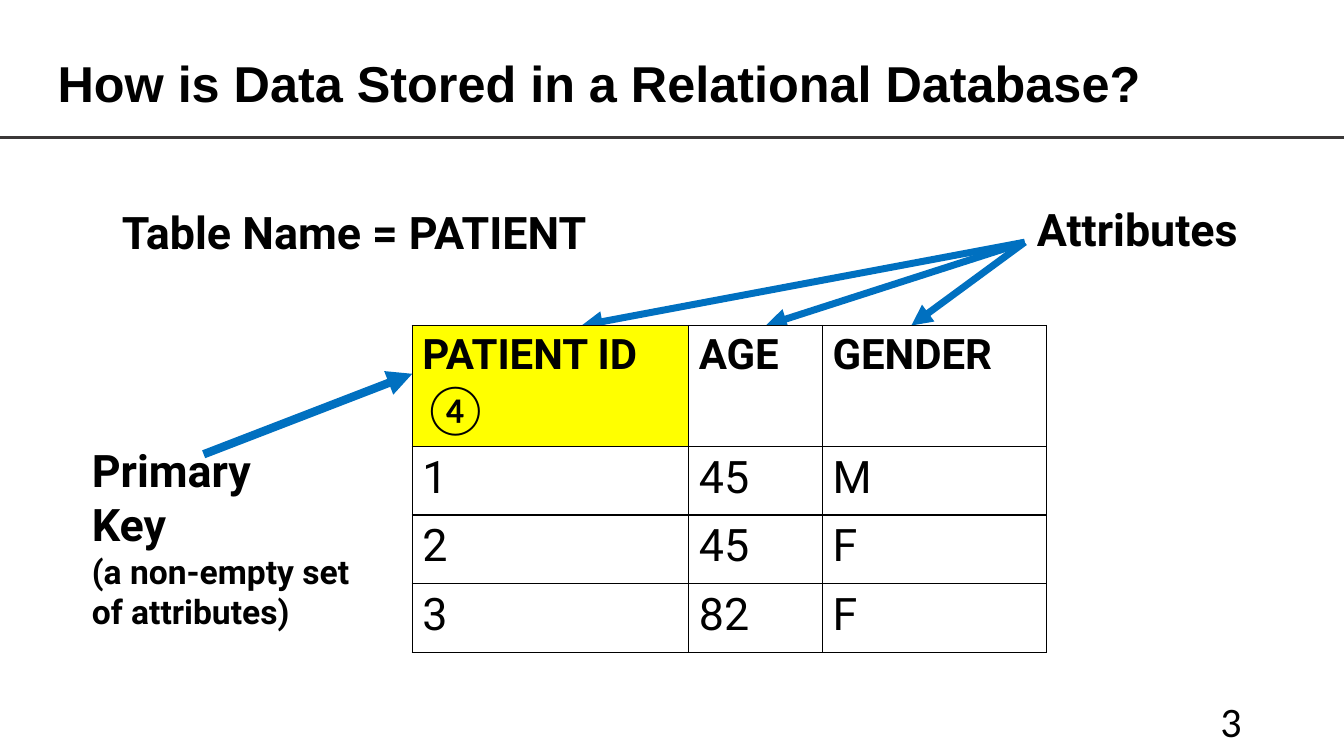
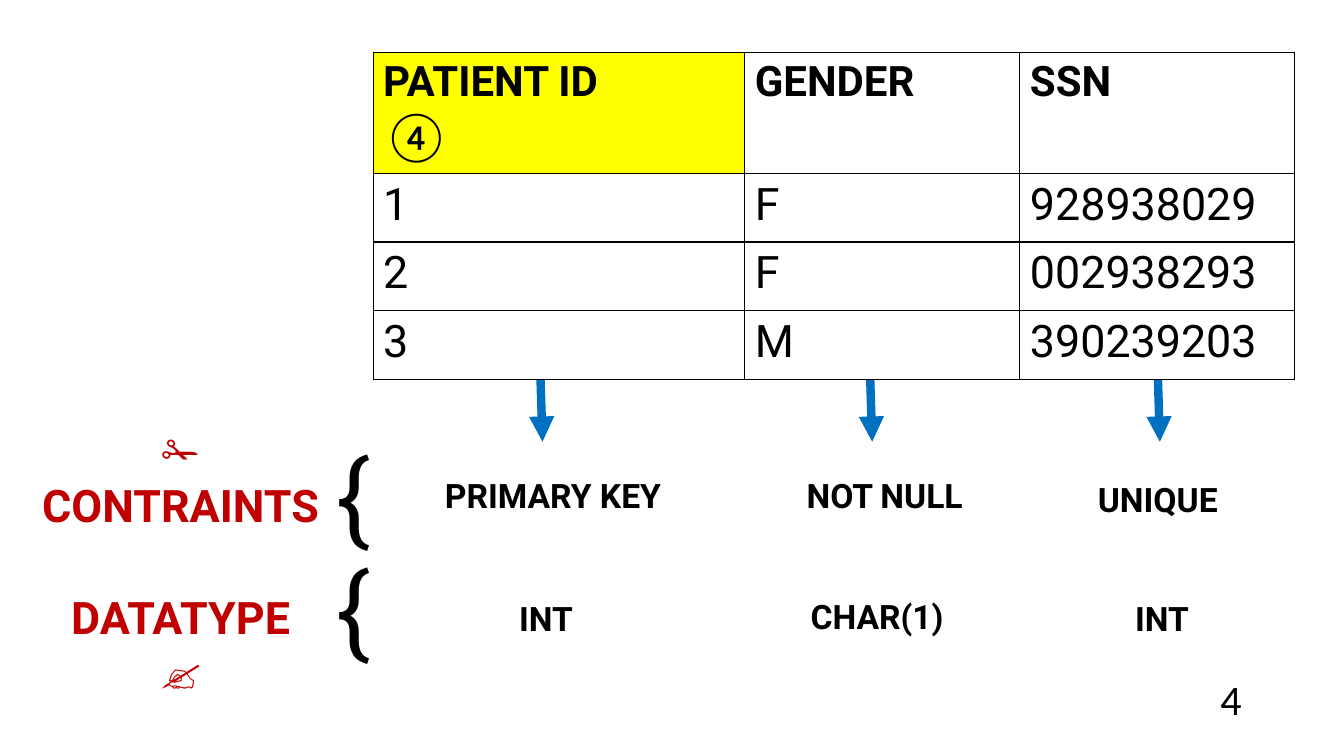
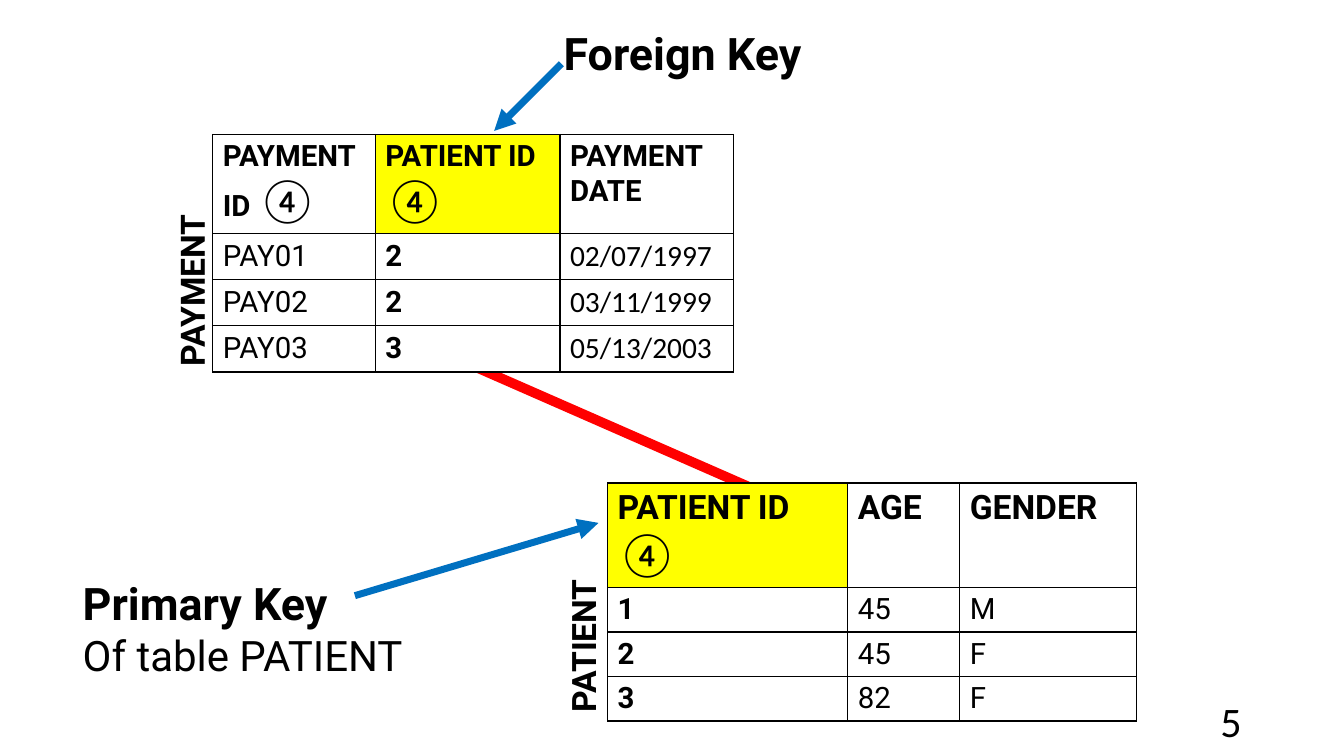
from dataclasses import dataclass

from lxml import etree
from pptx import Presentation
from pptx.dml.color import RGBColor
from pptx.enum.shapes import MSO_CONNECTOR
from pptx.enum.text import MSO_ANCHOR, PP_ALIGN
from pptx.oxml.ns import qn
from pptx.util import Pt

LEFT, CENTER, RIGHT = PP_ALIGN.LEFT, PP_ALIGN.CENTER, PP_ALIGN.RIGHT
TOP, MIDDLE = MSO_ANCHOR.TOP, MSO_ANCHOR.MIDDLE
STRAIGHT = MSO_CONNECTOR.STRAIGHT


@dataclass(frozen=True)
class Theme:
    # Colours
    black: str = "000000"
    white: str = "FFFFFF"
    key_fill: str = "FFFF00"
    arrow: str = "0070C0"
    link: str = "FF0000"
    rule: str = "3B3838"
    label: str = "C00000"
    # Type styles: font, size, bold
    title: tuple = ("Arial", 36, True)
    number: tuple = ("Calibri", 30, False)
    heading: tuple = ("Roboto", 32, True)
    note: tuple = ("Roboto", 24, True)
    remark: tuple = ("Roboto", 30, False)
    brace: tuple = ("Roboto", 72, False)
    icon: tuple = ("Calibri", 32, False)
    big_head: tuple = ("Roboto", 30, True)
    big_cell: tuple = ("Roboto", 32, False)
    big_key: tuple = ("Calibri", 36, False)
    small_cell: tuple = ("Roboto", 21, False)
    small_bold: tuple = ("Roboto", 21, True)
    small_date: tuple = ("Calibri", 21, False)


theme = Theme()


def style_font(font, style, color):
    font.name, size, font.bold = style
    font.size = Pt(size)
    font.color.rgb = RGBColor.from_string(color)


def write(frame, lines, color=theme.black, align=LEFT):
    """Each line is a list of (text, style) spans."""
    for index, spans in enumerate(lines):
        para = frame.paragraphs[0] if index == 0 else frame.add_paragraph()
        para.alignment = align
        style_font(para.font, spans[0][1], color)
        for text, style in spans:
            span = para.add_run()
            span.text = text
            if style != spans[0][1]:
                style_font(span.font, style, color)


# Table headers that carry the key mark
big_id = [[("PATIENT ID", theme.big_head)], [("④", theme.big_key)]]
small_id = [[("PATIENT ID", theme.note)], [("④", theme.icon)]]
payment_id, foreign_id = (
    [[(name + " ", theme.small_bold), ("④", theme.icon)]]
    for name in ("PAYMENT ID", "PATIENT ID"))

# Lines: tail, tip, colour, width, arrowhead
# Tables: left, top, column widths, header height, row height,
#         headers, body styles, rows, highlighted column
# Texts: left, top, width, height, lines, then options
patient_page = {
    "lines": [((732, 173), (x, 232.5), theme.arrow, 5, True)
              for x in (415.5, 547, 651)]
    + [((145.5, 324.5), (294.5, 267), theme.arrow, 6, True),
       ((0, 98.5), (960, 98.5), theme.rule, 2, False)],
    "tables": [
        (294.5, 232.5, (197.5, 95.5, 160), 86, 49,
         [big_id, [[("AGE", theme.big_head)]], [[("GENDER", theme.big_head)]]],
         [theme.big_cell] * 3,
         [("1", "45", "M"), ("2", "45", "F"), ("3", "82", "F")], 0)],
    "texts": [
        (34, 6.5, 906.5, 104.5,
         [[("How is Data Stored in a Relational Database?", theme.title)]],
         {"anchor": MIDDLE}),
        (733.5, 140.5, 193, 46, [[("Attributes", theme.heading)]], {}),
        (58.5, 313, 214.5, 143.5,
         [[("Primary", theme.heading)], [("Key", theme.heading)],
          [("(a non-empty set of attributes)", theme.note)]], {}),
        (80, 142.5, 381.5, 46, [[("Table Name = PATIENT", theme.heading)]], {})],
    "number_top": 500.5,
}

constraint_page = {
    "lines": [((x - 2, 251.5), (x, 315.5), theme.arrow, 6, True)
              for x in (387.5, 623, 828.5)],
    "tables": [
        (266.5, 37.5, (265.5, 196.5, 196), 86, 49,
         [big_id, [[("GENDER", theme.big_head)]], [[("SSN", theme.big_head)]]],
         [theme.big_cell] * 3,
         [("1", "F", "928938029"), ("2", "F", "002938293"),
          ("3", "M", "390239203")], 0)],
    "texts": [
        (left, top, width, 36, [[(text, theme.note)]], {"align": CENTER})
        for left, top, width, text in (
            (266.5, 336, 257, "PRIMARY KEY"), (521.5, 336, 221, "NOT NULL"),
            (716.5, 338.5, 221, "UNIQUE"), (261.5, 423.5, 257, "INT"),
            (516, 422, 221, "CHAR(1)"), (719.5, 423.5, 221, "INT"))]
    + [(233.5, top, 93, 94.5, [[("{", theme.brace)]], {})
       for top in (305.5, 386.5)]
    + [(11.5, top, 235, 85, lines, {"align": CENTER, "color": theme.label})
       for top, lines in (
           (299, [[("✁", theme.icon)], [("CONTRAINTS", theme.heading)]]),
           (417.5, [[("DATATYPE", theme.heading)], [("✍", theme.icon)]]))],
    "number_top": 484.5,
}

foreign_key_page = {
    "lines": [((312, 250), (548, 353.5), theme.link, 7, False),
              ((253.5, 425.5), (427.5, 373.5), theme.arrow, 5, True),
              ((401, 45.5), (353, 93.5), theme.arrow, 5, True)],
    "tables": [
        (434, 345, (171.5, 80, 126.5), 74.5, 31.8,
         [small_id, [[("AGE", theme.note)]], [[("GENDER", theme.note)]]],
         [theme.small_bold, theme.small_cell, theme.small_cell],
         [("1", "45", "M"), ("2", "45", "F"), ("3", "82", "F")], 0),
        (152, 96, (116, 132, 124), 70.5, 32.4,
         [payment_id, foreign_id, [[("PAYMENT DATE", theme.small_bold)]]],
         [theme.small_cell, theme.small_bold, theme.small_date],
         [("PAY01", "2", "02/07/1997"), ("PAY02", "2", "03/11/1999"),
          ("PAY03", "3", "05/13/2003")], 1)],
    "texts": [
        (320.5, 402, 191.5, 36, [[("PATIENT", theme.note)]], {"rotation": 270}),
        (41, 155, 191.5, 36, [[("PAYMENT", theme.note)]], {"rotation": 270}),
        (52, 407.5, 286.5, 82,
         [[("Primary Key", theme.heading)],
          [("Of table PATIENT", theme.remark)]], {}),
        (395.5, 14.5, 200, 46, [[("Foreign Key", theme.heading)]], {})],
    "number_top": 500.5,
}

deck = Presentation()
deck.slide_width, deck.slide_height = Pt(960), Pt(540)

for number, content in enumerate(
        (patient_page, constraint_page, foreign_key_page), start=3):
    page = deck.slides.add_slide(deck.slide_layouts[6])

    # Lines and arrows
    for tail, tip, color, width, has_head in content["lines"]:
        line = page.shapes.add_connector(
            STRAIGHT, *(Pt(value) for value in tail + tip))
        line.line.color.rgb = RGBColor.from_string(color)
        line.line.width = Pt(width)
        if has_head:
            etree.SubElement(line.line._get_or_add_ln(), qn("a:tailEnd"),
                             type="triangle")
        etree.SubElement(line._element.spPr, qn("a:effectLst"))

    # Tables
    for (left, top, widths, head_height, row_height,
         headers, styles, rows, key_column) in content["tables"]:
        heights = [head_height] + [row_height] * len(rows)
        table = page.shapes.add_table(
            len(heights), len(widths), Pt(left), Pt(top),
            Pt(sum(widths)), Pt(sum(heights))).table
        table.first_row = table.horz_banding = False
        for column, width in zip(table.columns, widths):
            column.width = Pt(width)
        for row, height in zip(table.rows, heights):
            row.height = Pt(height)
        body = [[[[(text, style)]] for text, style in zip(row, styles)]
                for row in rows]
        for row_index, row in enumerate([headers] + body):
            for column_index, lines in enumerate(row):
                cell = table.cell(row_index, column_index)
                properties = cell._tc.get_or_add_tcPr()
                for side in ("lnL", "lnR", "lnT", "lnB"):
                    border = etree.SubElement(
                        properties, qn("a:" + side), w=str(Pt(1)))
                    paint = etree.SubElement(border, qn("a:solidFill"))
                    etree.SubElement(paint, qn("a:srgbClr"), val=theme.black)
                is_key = row_index == 0 and column_index == key_column
                cell.fill.solid()
                cell.fill.fore_color.rgb = RGBColor.from_string(
                    theme.key_fill if is_key else theme.white)
                write(cell.text_frame, lines)

    # Texts and page number
    page_number = (678, content["number_top"], 216, 29,
                   [[(str(number), theme.number)]],
                   {"align": RIGHT, "anchor": MIDDLE})
    for left, top, width, height, lines, options in (
            content["texts"] + [page_number]):
        box = page.shapes.add_textbox(Pt(left), Pt(top), Pt(width), Pt(height))
        box.rotation = options.get("rotation", 0)
        box.text_frame.word_wrap = True
        box.text_frame.vertical_anchor = options.get("anchor", TOP)
        write(box.text_frame, lines, options.get("color", theme.black),
              options.get("align", LEFT))

deck.save("out.pptx")
